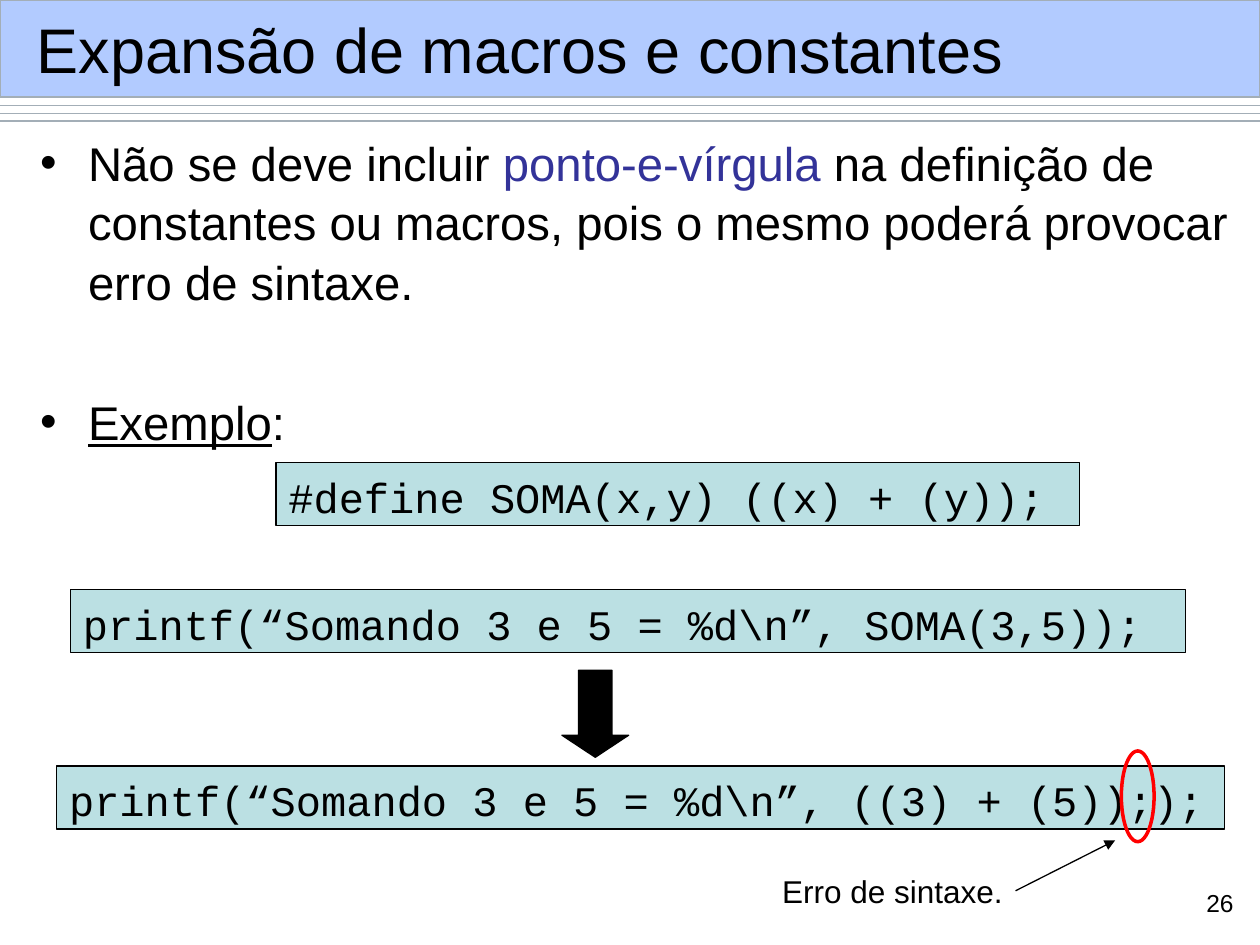
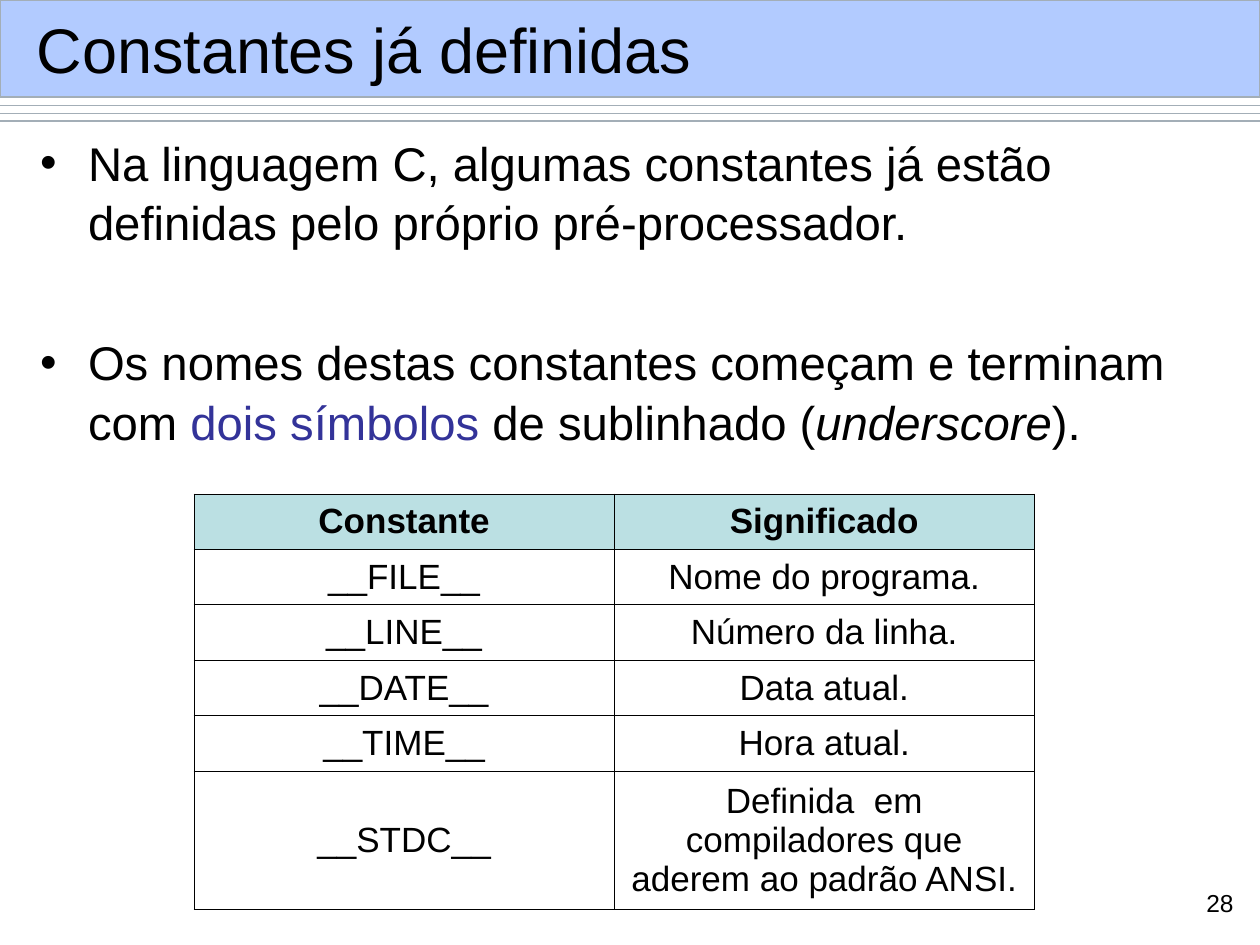
"""Build two slides on C preprocessor macros and predefined constants."""
from lxml.etree import SubElement
from pptx import Presentation
from pptx.dml.color import RGBColor
from pptx.enum.shapes import MSO_CONNECTOR, MSO_SHAPE
from pptx.enum.text import MSO_ANCHOR, MSO_AUTO_SIZE, PP_ALIGN
from pptx.oxml.ns import qn
from pptx.util import Inches, Pt

COLORS = {"text": "000000", "accent": "333399", "code": "BBE0E3", "band": "6699FF",
          "rule": "A3AEB7", "error": "FF0000", "paper": "FFFFFF"}


def write(frame, *paragraphs, size=27, font="Arial", bold=False, align=PP_ALIGN.LEFT,
          anchor=MSO_ANCHOR.TOP, wrap=True, spacing=1.0, gap=0, bullet=False):
    """Fill a text frame; a paragraph is a string or a list of (text, styles) spans."""
    frame.word_wrap, frame.auto_size = wrap, MSO_AUTO_SIZE.NONE
    frame.vertical_anchor = anchor
    for index, content in enumerate(paragraphs):
        para = frame.add_paragraph() if index else frame.paragraphs[0]
        para.alignment, para.line_spacing = align, spacing
        para.space_before = Pt(gap if index else 0)
        if bullet:
            properties = para._p.get_or_add_pPr()
            properties.set("marL", str(Inches(0.38)))
            properties.set("indent", str(-Inches(0.38)))
            SubElement(properties, qn("a:buFont"), typeface="Arial")
            SubElement(properties, qn("a:buChar"), char="•")
        for text, styles in [(content, {})] if isinstance(content, str) else content:
            span = para.add_run()
            span.text = text
            span.font.name, span.font.size, span.font.bold = font, Pt(size), bold
            span.font.color.rgb = RGBColor.from_string(COLORS[styles.get("color", "text")])
            span.font.underline = styles.get("underline")
            span.font.italic = styles.get("italic")


def draw(page, kind, place, line, width=0.75, fill=None):
    """Add a preset shape, or a straight line when the kind is a connector."""
    lengths = [Inches(value) for value in place]
    if isinstance(kind, MSO_CONNECTOR):
        shape = page.shapes.add_connector(kind, *lengths)
        SubElement(shape._element.spPr, qn("a:effectLst"))
    else:
        shape = page.shapes.add_shape(kind, *lengths)
        shape.shadow.inherit = False
        if fill:
            shape.fill.solid()
            shape.fill.fore_color.rgb = RGBColor.from_string(COLORS[fill])
        else:
            shape.fill.background()
    shape.line.color.rgb = RGBColor.from_string(COLORS[line])
    shape.line.width = Pt(width)
    return shape


deck = Presentation()
deck.slide_width, deck.slide_height = Inches(10), Inches(7.5)

topics = [
    ("Expansão de macros e constantes", "26", [
        [("Não se deve incluir ", {}), ("ponto-e-vírgula", {"color": "accent"}),
         (" na definição de constantes ou macros, pois o mesmo poderá provocar erro de sintaxe.", {})],
        [("Exemplo", {"underline": True}), (":", {})]]),
    ("Constantes já definidas", "28", [
        "Na linguagem C, algumas constantes já estão definidas pelo próprio pré-processador.",
        [("Os nomes destas constantes começam e terminam com ", {}),
         ("dois símbolos", {"color": "accent"}), (" de sublinhado (", {}),
         ("underscore", {"italic": True}), (").", {})]]),
]
pages = []
for heading, number, bullets in topics:
    page = deck.slides.add_slide(deck.slide_layouts[5])
    pages.append(page)
    title = page.shapes.title
    title.left, title.top, title.width, title.height = map(Inches, (0.19, 0.09, 9.64, 0.59))
    write(title.text_frame, heading, size=36, anchor=MSO_ANCHOR.MIDDLE)
    body = page.shapes.add_textbox(*map(Inches, (0.22, 0.99, 9.68, 6.24)))
    write(body.text_frame, *bullets, spacing=1.05, gap=46, bullet=True)
    footer = page.shapes.add_textbox(*map(Inches, (9.41, 7, 0.48, 0.36)))
    write(footer.text_frame, number, size=14, align=PP_ALIGN.RIGHT)
macro_page, constant_page = pages

band = draw(macro_page, MSO_SHAPE.RECTANGLE, (0, 0, 10, 0.77), "rule", fill="band")
band_color = band._element.spPr.find(qn("a:solidFill"))[0]
SubElement(band_color, qn("a:alpha"), val="50000")
rules = [draw(macro_page, MSO_CONNECTOR.STRAIGHT, (0, top, 10, top), "rule")
         for top in (0.84, 0.9, 0.96)]
for shape in [band, *rules]:
    deck.slide_master.shapes.element.insert(2, shape._element)

code_lines = [
    ((2.19, 3.67, 6.38, 0.5), "#define SOMA(x,y) ((x) + (y));"),
    ((0.56, 4.68, 8.85, 0.5), "printf(“Somando 3 e 5 = %d\\n”, SOMA(3,5));"),
    ((0.45, 6.08, 9.27, 0.5), "printf(“Somando 3 e 5 = %d\\n”, ((3) + (5)););"),
]
for place, code in code_lines:
    box = draw(macro_page, MSO_SHAPE.RECTANGLE, place, "text", fill="code")
    write(box.text_frame, code, size=24, font="Courier New", spacing=1.05)

expansion = draw(macro_page, MSO_SHAPE.DOWN_ARROW, (4.46, 5.32, 0.53, 0.69), "text", fill="text")
expansion.adjustments[0], expansion.adjustments[1] = 0.5, 0.33
draw(macro_page, MSO_SHAPE.OVAL, (8.9, 5.96, 0.26, 0.72), "error", width=2)
label = macro_page.shapes.add_textbox(*map(Inches, (6.11, 6.87, 1.95, 0.4)))
write(label.text_frame, "Erro de sintaxe.", size=18, wrap=False)
pointer = draw(macro_page, MSO_CONNECTOR.STRAIGHT, (8.06, 7.07, 8.85, 6.67), "text")
pointer.begin_connect(label, 3)
SubElement(pointer.line._get_or_add_ln(), qn("a:tailEnd"), type="triangle")

rows = [
    ("Constante", "Significado"),
    ("__FILE__", "Nome do programa."),
    ("__LINE__", "Número da linha."),
    ("__DATE__", "Data atual."),
    ("__TIME__", "Hora atual."),
    ("__STDC__", "Definida  em compiladores que aderem ao padrão ANSI."),
]
table = constant_page.shapes.add_table(
    len(rows), 2, *map(Inches, (1.54, 3.92, 6.67, 3.3))).table
for row_index, texts in enumerate(rows):
    is_header, is_last = row_index == 0, row_index == len(rows) - 1
    table.rows[row_index].height = Inches(1.1 if is_last else 0.44)
    for column_index, text in enumerate(texts):
        cell = table.cell(row_index, column_index)
        write(cell.text_frame, text, size=20, bold=is_header, align=PP_ALIGN.CENTER)
        cell.vertical_anchor = MSO_ANCHOR.MIDDLE
        properties = cell._tc.get_or_add_tcPr()
        for side in ("lnL", "lnR", "lnT", "lnB"):
            border = SubElement(properties, qn("a:" + side), w=str(Pt(0.45)))
            paint = SubElement(border, qn("a:solidFill"))
            SubElement(paint, qn("a:srgbClr"), val=COLORS["text"])
        cell.fill.solid()
        cell.fill.fore_color.rgb = RGBColor.from_string(COLORS["code" if is_header else "paper"])

deck.save("out.pptx")
